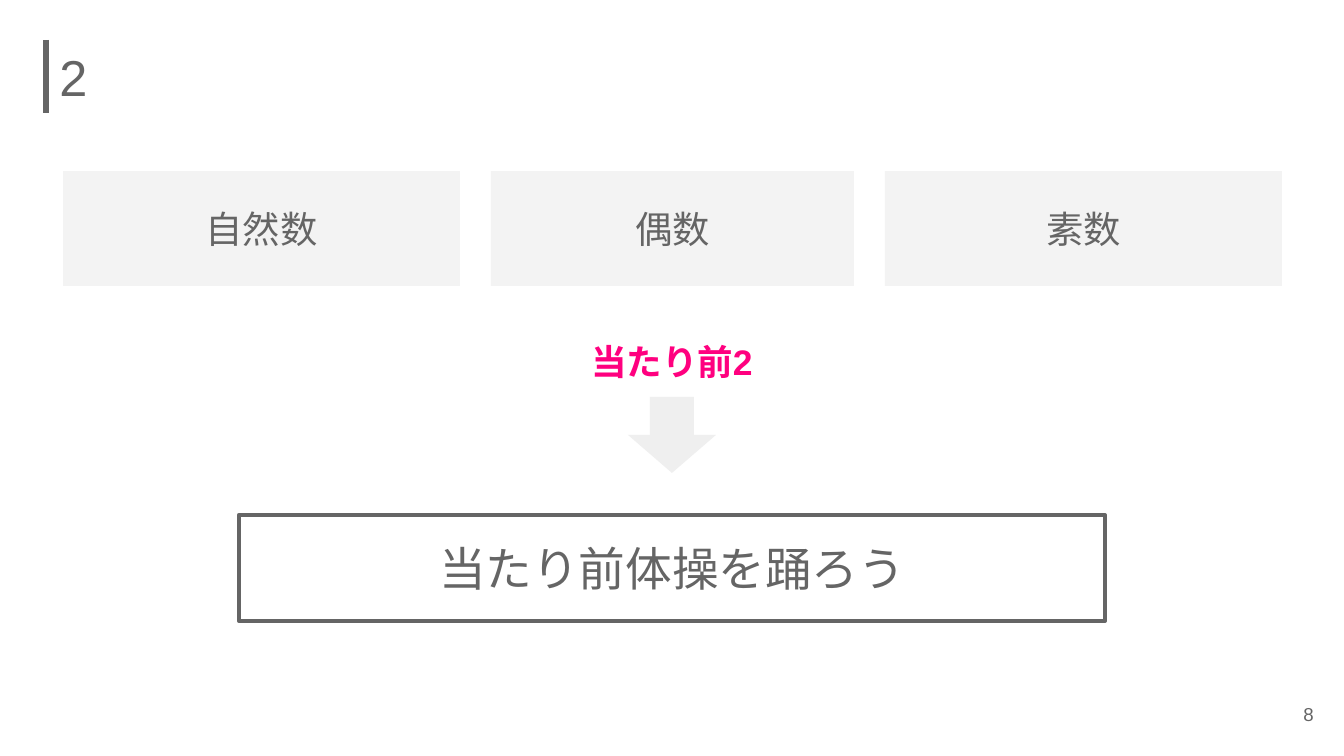
from lxml import etree
from pptx import Presentation
from pptx import util as u
from pptx.dml.color import RGBColor
from pptx.enum import shapes, text
from pptx.oxml.ns import qn

SCALE = 914400 / 134.4
COLORS = {"ink": "656565", "card": "F3F3F3", "arrow": "EFEFEF",
          "accent": "FF007F", "paper": "FFFFFF"}
ALIGN = text.PP_ALIGN


def px(n):
    return u.Emu(round(n * SCALE))


def rgb(name):
    return RGBColor.from_string(COLORS[name])


def write(shape, words, size, color="ink", bold=False, align=ALIGN.CENTER,
          anchor=text.MSO_ANCHOR.MIDDLE):
    frame = shape.text_frame
    frame.word_wrap = True
    frame.auto_size = text.MSO_AUTO_SIZE.NONE
    frame.vertical_anchor = anchor
    frame.margin_left = frame.margin_right = u.Inches(0.1)
    frame.margin_top = frame.margin_bottom = u.Inches(0.1)
    para = frame.paragraphs[0]
    para.alignment = align
    para.space_before = u.Pt(0)
    run = para.add_run()
    run.text = words
    font = run.font
    font.name, font.size, font.bold = "Arial", u.Pt(size), bold
    font.color.rgb = rgb(color)


class Deck:
    def __init__(self, wide, high):
        self.show = Presentation()
        self.show.slide_width, self.show.slide_height = px(wide), px(high)
        # The comparison layout has a title and enough body placeholders.
        self.slide = self.show.slides.add_slide(self.show.slide_layouts[4])
        self.shapes = self.slide.shapes
        self.spare = [p for p in self.slide.placeholders
                      if p.placeholder_format.idx in (1, 2, 3, 4)]

    def place(self, shape, box):
        shape.left, shape.top, shape.width, shape.height = map(px, box)

    def title(self, words, box):
        self.place(self.shapes.title, box)
        write(self.shapes.title, words, 27, align=ALIGN.LEFT)

    def card(self, words, box):
        """Turn the next body placeholder into a filled, unbulleted card."""
        body = self.spare.pop(0)
        self.place(body, box)
        body.fill.solid()
        body.fill.fore_color.rgb = rgb("card")
        write(body, words, 20)
        props = body.text_frame.paragraphs[0]._p.get_or_add_pPr()
        props.set("marL", "0")
        props.set("indent", "0")
        etree.SubElement(props, qn("a:buNone"))

    def label(self, words, box, size, **style):
        write(self.shapes.add_textbox(*map(px, box)), words, size, **style)

    def shape(self, kind, box, fill, line=None):
        item = self.shapes.add_shape(kind, *map(px, box))
        item.shadow.inherit = False
        item.fill.solid()
        item.fill.fore_color.rgb = rgb(fill)
        if line:
            item.line.color.rgb = rgb(line)
            item.line.width = u.Pt(2.25)
        else:
            item.line.fill.background()
        return item

    def rule(self, x, top, end):
        line = self.shapes.add_connector(
            shapes.MSO_CONNECTOR.STRAIGHT, px(x), px(top), px(x), px(end))
        line.line.color.rgb = rgb("ink")
        line.line.width = u.Pt(3)
        etree.SubElement(line._element.spPr, qn("a:effectLst"))

    def save(self):
        for item in self.spare:
            item._element.getparent().remove(item._element)
        self.show.save("out.pptx")


def main():
    deck = Deck(1344, 756)
    deck.rule(46, 40, 113)
    deck.title("2", (46, 40, 1252, 73))

    left, gap = 63, 31
    for words, wide in (("自然数", 397), ("偶数", 363), ("素数", 397)):
        deck.card(words, (left, 171, wide, 115))
        left += wide + gap

    deck.shape(shapes.MSO_SHAPE.DOWN_ARROW, (628, 397, 88, 76), "arrow")
    deck.label("当たり前2", (452, 327, 440, 70), 19, color="accent",
               bold=True, anchor=text.MSO_ANCHOR.TOP)
    result = deck.shape(shapes.MSO_SHAPE.RECTANGLE, (239, 515, 866, 106),
                        "paper", line="ink")
    write(result, "当たり前体操を踊ろう", 25)
    deck.label("8", (1246, 685, 81, 58), 10, align=ALIGN.RIGHT)
    deck.save()


if __name__ == "__main__":
    main()
